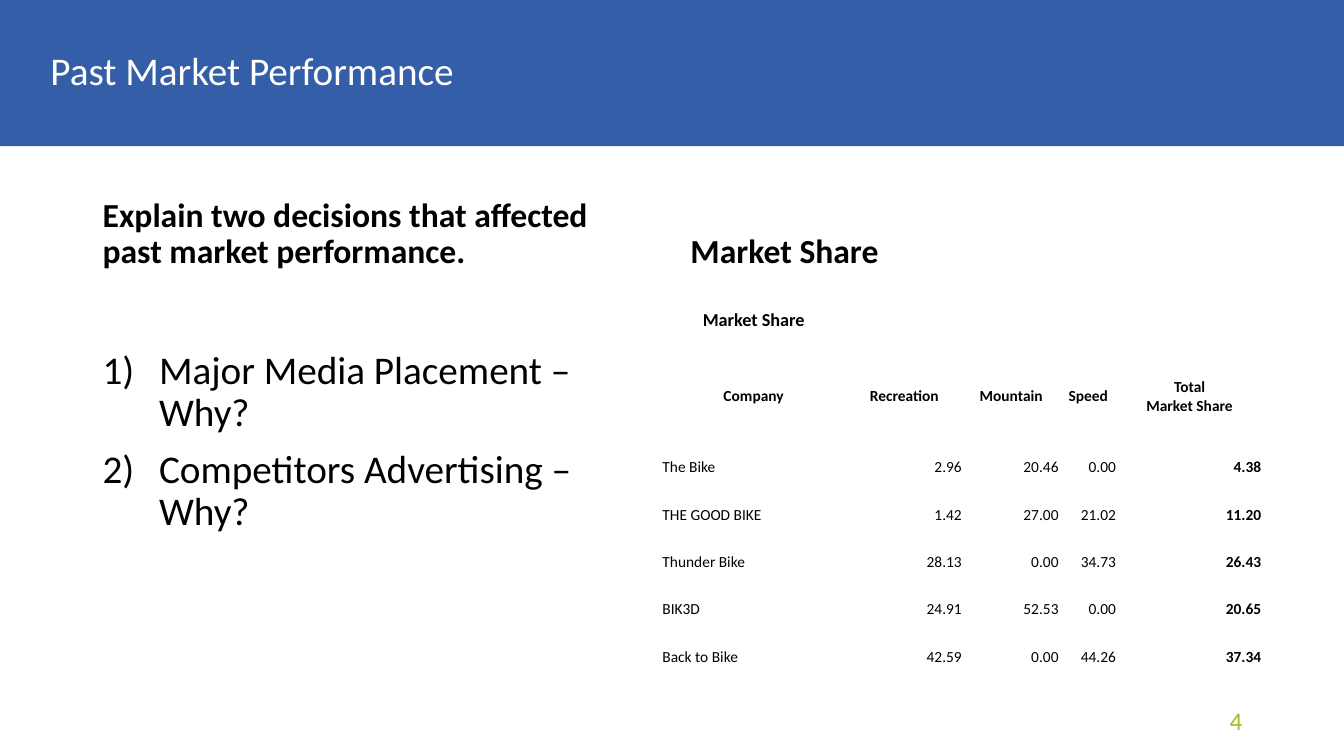
from lxml.etree import SubElement
from pptx import Presentation
from pptx.dml.color import RGBColor
from pptx.enum.text import MSO_ANCHOR as Anchor, MSO_AUTO_SIZE as AutoSize, PP_ALIGN as Align
from pptx.oxml.ns import qn
from pptx.util import Inches, Pt

TITLE = "Past Market Performance"
HEADINGS = [
    ("Explain two decisions that affected past market performance.", (0.92, 1.84, 5.64, 0.9)),
    ("Market Share", (6.75, 1.84, 5.67, 0.9)),
]
DECISIONS = ["Major Media Placement – Why?", "Competitors Advertising – Why?"]
MARKET_SHARE = [
    ["Market Share", "", "", "", ""],
    ["Company", "Recreation", "Mountain", "Speed", "Total\nMarket Share"],
    ["The Bike", "2.96", "20.46", "0.00", "4.38"],
    ["THE GOOD BIKE", "1.42", "27.00", "21.02", "11.20"],
    ["Thunder Bike", "28.13", "0.00", "34.73", "26.43"],
    ["BIK3D", "24.91", "52.53", "0.00", "20.65"],
    ["Back to Bike", "42.59", "0.00", "44.26", "37.34"],
]
COLUMN_WIDTHS = [1.83, 1.16, 0.96, 0.57, 1.44]
ROW_HEIGHTS = [0.57, 0.94] + [0.47] * 5
SLIDE_NUMBER = "4"

BLACK, WHITE, BLUE, GREEN = "000000", "FFFFFF", "345EA8", "A6B727"
BODY_SPACING = {"line_spacing": 0.9, "space_before": Pt(10)}
CELL_FRAME = {
    "vertical_anchor": Anchor.MIDDLE,
    "margin_left": Inches(0.01),
    "margin_right": Inches(0.01),
    "margin_top": Inches(0.01),
    "margin_bottom": 0,
}


def set_attributes(target, values):
    for name, value in values.items():
        setattr(target, name, value)


def paint(fill, color):
    fill.solid()
    fill.fore_color.rgb = RGBColor.from_string(color)


def write(frame, text, size, color=BLACK, bold=False, **paragraph_format):
    frame.text = text
    for paragraph in frame.paragraphs:
        set_attributes(paragraph, paragraph_format)
        for run in paragraph.runs:
            set_attributes(run.font, {"name": "Calibri", "size": Pt(size), "bold": bold})
            run.font.color.rgb = RGBColor.from_string(color)


def add_text(slide, box, anchor=Anchor.TOP):
    frame = slide.shapes.add_textbox(*map(Inches, box)).text_frame
    set_attributes(frame, {"word_wrap": True, "vertical_anchor": anchor})
    return frame


def number_paragraph(paragraph):
    properties = paragraph._p.get_or_add_pPr()
    properties.set("marL", str(Inches(0.56)))
    properties.set("indent", str(Inches(-0.56)))
    SubElement(properties, qn("a:buAutoNum"), type="arabicParenR")


def add_title(slide):
    title = slide.shapes.title
    set_attributes(title, {"left": 0, "top": 0, "width": Inches(13.33), "height": Inches(1.45)})
    paint(title.fill, BLUE)
    frame = title.text_frame
    set_attributes(frame, {
        "auto_size": AutoSize.NONE,
        "vertical_anchor": Anchor.MIDDLE,
        "margin_left": Inches(0.5),
    })
    write(frame, TITLE, 28, WHITE, alignment=Align.LEFT, line_spacing=0.9)


def add_market_share(slide):
    box = (6.56, 2.89, sum(COLUMN_WIDTHS), sum(ROW_HEIGHTS))
    table = slide.shapes.add_table(
        len(MARKET_SHARE), len(COLUMN_WIDTHS), *map(Inches, box)).table
    set_attributes(table, {"first_row": False, "horz_banding": False})
    for column, width in zip(table.columns, COLUMN_WIDTHS):
        column.width = Inches(width)
    for row, height in zip(table.rows, ROW_HEIGHTS):
        row.height = Inches(height)
    last_column = len(COLUMN_WIDTHS) - 1
    for row_index, values in enumerate(MARKET_SHARE):
        is_header = row_index < 2
        for column_index, value in enumerate(values):
            cell = table.cell(row_index, column_index)
            set_attributes(cell, CELL_FRAME)
            paint(cell.fill, WHITE)
            if is_header:
                alignment = Align.CENTER
            else:
                alignment = Align.RIGHT if column_index else Align.LEFT
            write(cell.text_frame, value, 11 if row_index else 13,
                  bold=is_header or column_index == last_column, alignment=alignment)


def main():
    presentation = Presentation()
    set_attributes(presentation, {"slide_width": Inches(13.33), "slide_height": Inches(7.5)})
    slide = presentation.slides.add_slide(presentation.slide_layouts[5])
    add_title(slide)
    for heading, box in HEADINGS:
        write(add_text(slide, box, Anchor.BOTTOM), heading, 24, bold=True, **BODY_SPACING)
    decisions = add_text(slide, (0.92, 3.43, 5.64, 3.34))
    write(decisions, "\n".join(DECISIONS), 28, **BODY_SPACING)
    for paragraph in decisions.paragraphs:
        number_paragraph(paragraph)
    add_market_share(slide)
    write(add_text(slide, (9.42, 6.95, 3, 0.4)), SLIDE_NUMBER, 18, GREEN, alignment=Align.RIGHT)
    presentation.save("out.pptx")


if __name__ == "__main__":
    main()
